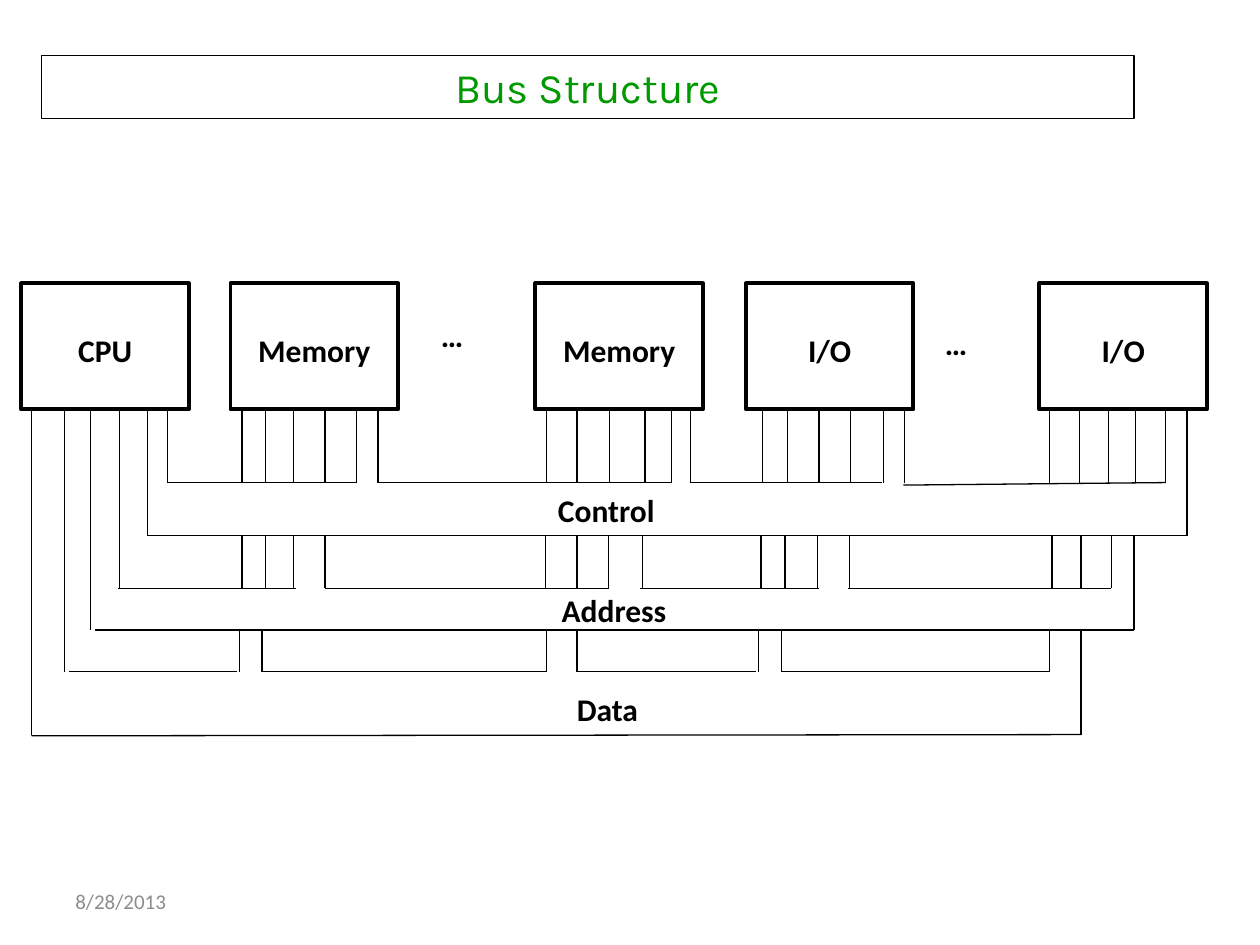
"""Bus structure: five units wired to the control, address and data buses."""
from lxml.etree import SubElement
from pptx import Presentation
from pptx.dml.color import RGBColor
from pptx.enum.shapes import MSO_CONNECTOR, MSO_SHAPE
from pptx.enum.text import MSO_ANCHOR, PP_ALIGN
from pptx.oxml.ns import qn
from pptx.util import Inches, Pt

BLACK = RGBColor(0x00, 0x00, 0x00)
GREEN = RGBColor(0x00, 0x99, 0x00)
GRAY = RGBColor(0x8C, 0x8C, 0x8C)

UNIT_TOP, UNIT_WIDTH, UNIT_HEIGHT = 2.25, 1.33, 1
LABEL_HEIGHT = 0.4
UNITS = [("CPU", 0.17), ("Memory", 1.83), ("Memory", 4.25), ("I/O", 5.92), ("I/O", 8.25)]
FLOATING_LABELS = [
    ("…", 3.4, 2.46, 0.45),
    ("…", 7.4, 2.52, 0.45),
    ("Control", 4.33, 3.85, 1.09),
    ("Address", 4.36, 4.64, 1.2),
    ("Data", 4.48, 5.43, 0.74),
]

UNIT_BOTTOM = UNIT_TOP + UNIT_HEIGHT
CONTROL_TOP, CONTROL_BOTTOM = 3.83, 4.25
ADDRESS_TOP, ADDRESS_BOTTOM = 4.67, 5
DATA_TOP, DATA_BOTTOM = 5.33, 5.83

WIRES_DOWN = [
    (UNIT_BOTTOM, CONTROL_TOP, [
        1.33, 1.92, 2.11, 2.33, 2.58, 2.83, 3, 4.34, 4.58, 4.84, 5.12, 5.33, 5.48,
        6.05, 6.25, 6.5, 6.75, 7.01, 7.18, 8.33, 8.57, 8.8, 9.01, 9.25]),
    (UNIT_BOTTOM, CONTROL_BOTTOM, [1.17, 9.42]),
    (UNIT_BOTTOM, ADDRESS_TOP, [0.95]),
    (UNIT_BOTTOM, ADDRESS_BOTTOM, [0.72]),
    (UNIT_BOTTOM, DATA_TOP, [0.51]),
    (UNIT_BOTTOM, DATA_BOTTOM, [0.25]),
    (CONTROL_BOTTOM, ADDRESS_TOP, [
        1.92, 2.11, 2.33, 2.58, 4.33, 4.58, 4.83, 5.1, 6.04, 6.23, 6.49, 6.74,
        8.35, 8.58, 8.82]),
    (CONTROL_BOTTOM, ADDRESS_BOTTOM, [9]),
    (ADDRESS_BOTTOM, DATA_TOP, [1.9, 2.08, 4.34, 4.58, 6.02, 6.2, 8.33]),
    (ADDRESS_BOTTOM, DATA_BOTTOM, [8.58]),
]
BUS_EDGES = [
    (CONTROL_TOP, [(1.33, 2.83), (3, 5.33), (5.48, 7), (7.17, 9.25)]),
    (CONTROL_BOTTOM, [(1.17, 9.42)]),
    (ADDRESS_TOP, [(0.94, 2.35), (2.58, 4.83), (5.08, 6.5), (6.73, 8.82)]),
    (ADDRESS_BOTTOM, [(0.75, 9)]),
    (DATA_TOP, [(0.55, 1.88), (2.08, 4.33), (4.58, 6), (6.2, 8.33)]),
    (DATA_BOTTOM, [(0.25, 8.58)]),
]
EDGE_START_DROP = {(7.17, CONTROL_TOP): 0.02, (0.25, DATA_BOTTOM): 0.01}

LABEL_FONT = {"name": "Calibri", "size": Pt(18), "bold": True}
DATE_FONT = {"name": "Calibri", "size": Pt(12)}
TITLE_FONT = {"name": "Karla", "size": Pt(24)}


def write(holder, text, font, color, align=PP_ALIGN.LEFT, anchor=MSO_ANCHOR.TOP, wrap=True):
    frame = holder.text_frame
    frame.word_wrap = wrap
    frame.vertical_anchor = anchor
    paragraph = frame.paragraphs[0]
    paragraph.alignment = align
    run = paragraph.add_run()
    run.text = text
    for attribute, value in font.items():
        setattr(run.font, attribute, value)
    run.font.color.rgb = color


def add_label(slide, text, left, top, width, font=LABEL_FONT, color=BLACK, **layout):
    label = slide.shapes.add_textbox(*map(Inches, (left, top, width, LABEL_HEIGHT)))
    write(label, text, font, color, **layout)


def add_frame(slide, left, top, width, height, weight):
    frame = slide.shapes.add_shape(
        MSO_SHAPE.RECTANGLE, *map(Inches, (left, top, width, height)))
    frame.shadow.inherit = False
    frame.fill.background()
    frame.line.color.rgb = BLACK
    frame.line.width = Pt(weight)
    return frame


def add_wire(slide, x1, y1, x2, y2):
    wire = slide.shapes.add_connector(
        MSO_CONNECTOR.STRAIGHT, *map(Inches, (x1, y1, x2, y2)))
    wire.line.color.rgb = BLACK
    wire.line.width = Pt(0.75)
    SubElement(wire._element.spPr, qn("a:effectLst"))


def main():
    deck = Presentation()
    deck.slide_width, deck.slide_height = Inches(10), Inches(7.5)
    slide = deck.slides.add_slide(deck.slide_layouts[6])

    add_label(slide, "8/28/2013", 0.5, 6.95, 2.33, DATE_FONT, GRAY, anchor=MSO_ANCHOR.MIDDLE)
    for name, left in UNITS:
        add_frame(slide, left, UNIT_TOP, UNIT_WIDTH, UNIT_HEIGHT, 2.25)
        add_label(slide, name, left, 2.58, UNIT_WIDTH, align=PP_ALIGN.CENTER)
    for text, left, top, width in FLOATING_LABELS:
        add_label(slide, text, left, top, width, wrap=False)

    for top, bottom, columns in WIRES_DOWN:
        for x in columns:
            add_wire(slide, x, top, x, bottom)
    for y, spans in BUS_EDGES:
        for start, end in spans:
            add_wire(slide, start, y + EDGE_START_DROP.get((start, y), 0), end, y)

    title = add_frame(slide, 0.33, 0.44, 8.67, 0.5, 0.75)
    write(title, "Bus Structure", TITLE_FONT, GREEN, PP_ALIGN.CENTER, MSO_ANCHOR.MIDDLE)
    deck.save("out.pptx")


if __name__ == "__main__":
    main()
